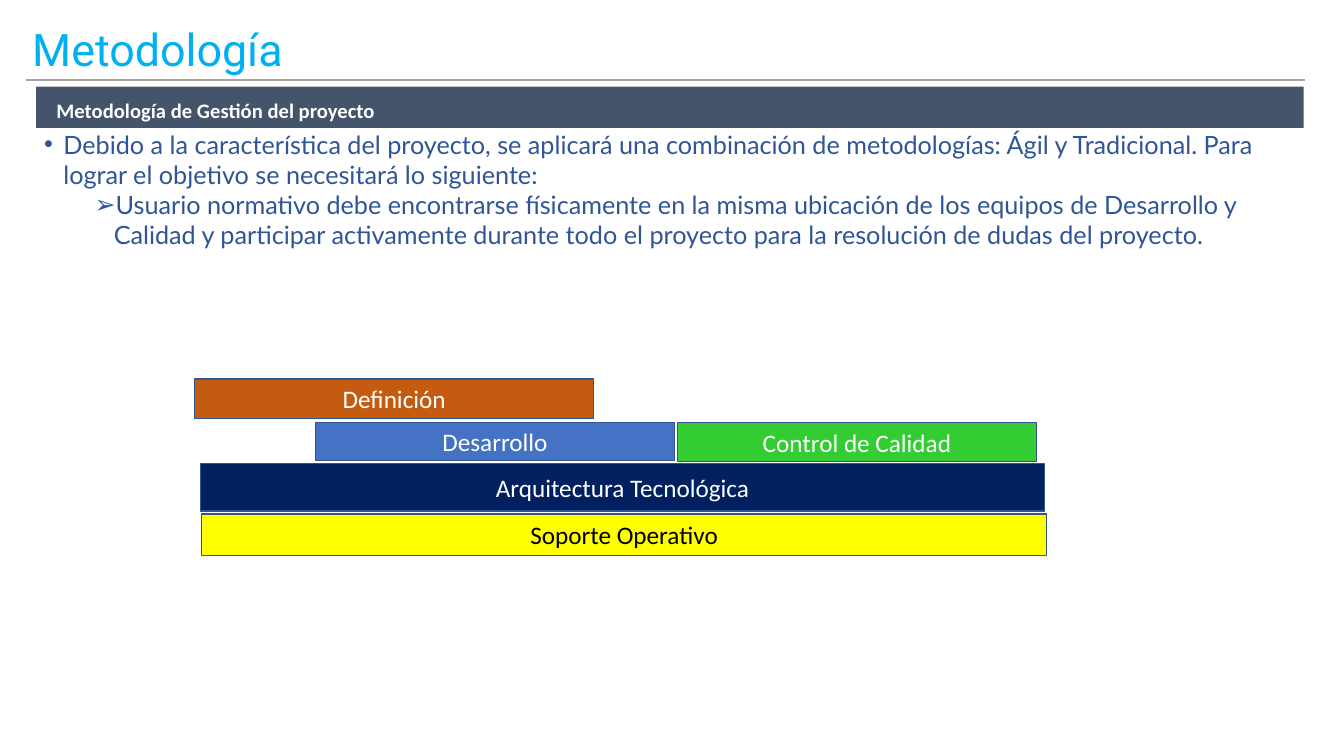
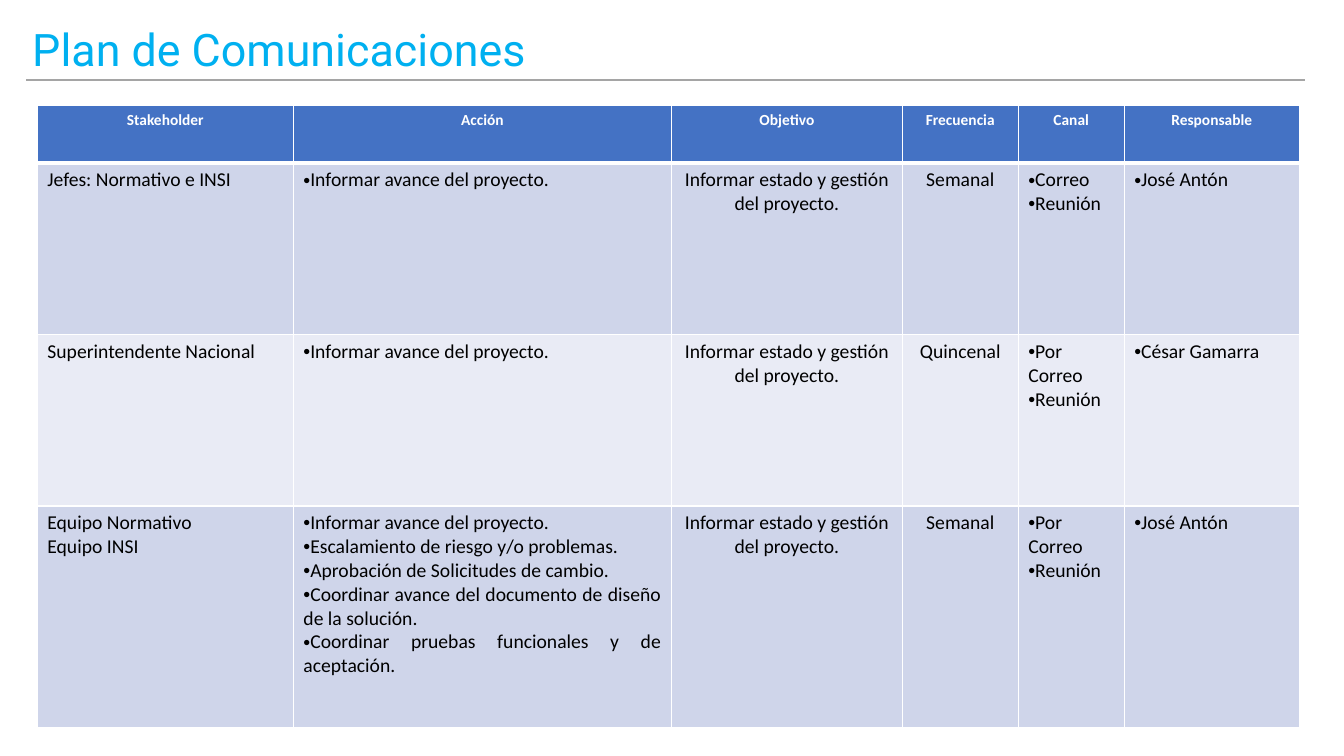
from collections import namedtuple

from lxml import etree
from pptx import Presentation
from pptx.dml.color import RGBColor
from pptx.enum.shapes import MSO_CONNECTOR, MSO_SHAPE
from pptx.enum.text import MSO_ANCHOR, MSO_AUTO_SIZE, PP_ALIGN
from pptx.oxml.ns import qn
from pptx.util import Inches, Pt

RECTANGLE = MSO_SHAPE.RECTANGLE
ROUNDED = MSO_SHAPE.ROUNDED_RECTANGLE
STRAIGHT = MSO_CONNECTOR.STRAIGHT
LEFT, CENTER, JUSTIFY = PP_ALIGN.LEFT, PP_ALIGN.CENTER, PP_ALIGN.JUSTIFY
MIDDLE, BOTTOM = MSO_ANCHOR.MIDDLE, MSO_ANCHOR.BOTTOM
TITLE_ONLY = 5

COLORS = {
    "title": "00B0F0",
    "rule": "A5A5A5",
    "band": "44546A",
    "body": "2F5597",
    "outline": "325491",
    "blue": "4472C4",
    "green": "33CC33",
    "orange": "C55A11",
    "yellow": "FFFF00",
    "navy": "002060",
    "odd_row": "CFD5EA",
    "even_row": "E9EBF5",
    "white": "FFFFFF",
    "black": "000000",
}
TITLE_FONT, BODY_FONT, SHAPE_FONT = "Roboto", "Lato", "Calibri"

Box = namedtuple("Box", "left top width height")
TITLE_BOX = Box(0.26, 0.08, 13, 0.7)
RULE_BOX = Box(0.26, 0.79, 12.68, 0)
BAND_BOX = Box(0.36, 0.86, 12.57, 0.41)
BODY_BOX = Box(0.34, 1.23, 12.54, 1.31)
TEAMS_BOX = Box(1.93, 3.76, 8.45, 1.75)
PLAN_BOX = Box(0.37, 1.05, 12.52, 6.17)

METHOD_POINTS = [
    ("Debido a la característica del proyecto, se aplicará una combinación de "
     "metodologías: Ágil y Tradicional. Para lograr el objetivo se necesitará "
     "lo siguiente:", 0, "•", 0.19),
    ("Usuario normativo debe encontrarse físicamente en la misma ubicación de "
     "los equipos de Desarrollo y Calidad y participar activamente durante todo "
     "el proyecto para la resolución de dudas del proyecto.", 1, "➢", 0.69),
]
TEAMS = [
    ("Desarrollo", Box(1.2, 0.43, 3.56, 0.38), "blue", "white"),
    ("Control de Calidad", Box(4.79, 0.43, 3.56, 0.39), "green", "white"),
    ("Definición", Box(0, 0, 3.96, 0.39), "orange", "white"),
    ("Soporte Operativo", Box(0.07, 1.34, 8.38, 0.41), "yellow", "black"),
    ("Arquitectura Tecnológica", Box(0.06, 0.84, 8.37, 0.47), "navy", "white"),
]

PLAN_COLUMNS = [
    ("Stakeholder", 2.54, LEFT, None),
    ("Acción", 3.75, JUSTIFY, "•"),
    ("Objetivo", 2.29, CENTER, None),
    ("Frecuencia", 1.15, CENTER, None),
    ("Canal", 1.05, LEFT, "•"),
    ("Responsable", 1.74, LEFT, "•"),
]
PLAN_HEIGHTS = [0.57, 1.7, 1.7, 2.2]
PROGRESS = "Informar avance del proyecto."
GOAL = ["Informar estado y gestión del proyecto."]
PLAN_ROWS = [
    [["Jefes: Normativo e INSI"], [PROGRESS], GOAL, ["Semanal"],
     ["Correo", "Reunión"], ["José Antón"]],
    [["Superintendente Nacional"], [PROGRESS], GOAL, ["Quincenal"],
     ["Por Correo", "Reunión"], ["César Gamarra"]],
    [["Equipo Normativo", "Equipo INSI"],
     [PROGRESS,
      "Escalamiento de riesgo y/o problemas.",
      "Aprobación de Solicitudes de cambio.",
      "Coordinar avance del documento de diseño de la solución.",
      "Coordinar pruebas funcionales y de aceptación."],
     GOAL, ["Semanal"], ["Por Correo", "Reunión"], ["José Antón"]],
]


def color(name):
    return RGBColor.from_string(COLORS[name])


def place(box):
    return [Inches(length) for length in box]


def set_margins(frame, left, top, right, bottom):
    frame.margin_left, frame.margin_top = Inches(left), Inches(top)
    frame.margin_right, frame.margin_bottom = Inches(right), Inches(bottom)


def add_run(paragraph, text, size, font, color_name, bold=False):
    run = paragraph.add_run()
    run.text = text
    run.font.size = Pt(size)
    run.font.name = font
    run.font.bold = bold
    run.font.color.rgb = color(color_name)


def next_paragraph(frame, index):
    return frame.add_paragraph() if index else frame.paragraphs[0]


def set_bullet(paragraph, character, margin=0, indent=0):
    properties = paragraph._p.get_or_add_pPr()
    properties.set("marL", str(Inches(margin)))
    properties.set("indent", str(Inches(indent)))
    etree.SubElement(properties, qn("a:buFont")).set("typeface", "Arial")
    etree.SubElement(properties, qn("a:buChar")).set("char", character)


def set_borders(cell, widths):
    properties = cell._tc.get_or_add_tcPr()
    for position, (side, width) in enumerate(widths.items()):
        line = etree.Element(qn("a:" + side), w=str(Pt(width)))
        fill = etree.SubElement(line, qn("a:solidFill"))
        etree.SubElement(fill, qn("a:srgbClr")).set("val", COLORS["white"])
        properties.insert(position, line)


def add_block(slide, kind, box, fill, outline=None):
    shape = slide.shapes.add_shape(kind, *place(box))
    shape.shadow.inherit = False
    shape.fill.solid()
    shape.fill.fore_color.rgb = color(fill)
    if outline:
        shape.line.color.rgb = color(outline)
        shape.line.width = Pt(1)
    else:
        shape.line.fill.background()
    shape.text_frame.word_wrap = True
    return shape


def add_title(slide, box, text):
    title = slide.shapes.title
    title.left, title.top, title.width, title.height = place(box)
    frame = title.text_frame
    frame.auto_size = MSO_AUTO_SIZE.NONE
    frame.word_wrap = True
    frame.vertical_anchor = MIDDLE
    set_margins(frame, 0.06, 0.06, 0.06, 0.06)
    paragraph = frame.paragraphs[0]
    paragraph.alignment = LEFT
    paragraph.line_spacing = 1.2
    paragraph.space_before = Pt(6)
    add_run(paragraph, text, 32, TITLE_FONT, "title")


def add_rule(slide, box):
    left, top, width, height = place(box)
    rule = slide.shapes.add_connector(STRAIGHT, left, top, left + width, top + height)
    rule.line.color.rgb = color("rule")
    rule.line.width = Pt(1.5)
    etree.SubElement(rule._element.spPr, qn("a:effectLst"))


def start_slide(presentation, title):
    slide = presentation.slides.add_slide(presentation.slide_layouts[TITLE_ONLY])
    add_title(slide, TITLE_BOX, title)
    add_rule(slide, RULE_BOX)
    return slide


def add_band(slide, box, text):
    band = add_block(slide, ROUNDED, box, "band")
    band.adjustments[0] = 0
    frame = band.text_frame
    frame.vertical_anchor = BOTTOM
    set_margins(frame, 0.2, 0.16, 0.2, 0.05)
    paragraph = frame.paragraphs[0]
    paragraph.alignment = LEFT
    paragraph.line_spacing = 0.9
    add_run(paragraph, text, 14.7, SHAPE_FONT, "white", True)


def add_points(slide, box, points):
    frame = slide.shapes.add_textbox(*place(box)).text_frame
    frame.word_wrap = True
    for index, (text, level, character, margin) in enumerate(points):
        paragraph = next_paragraph(frame, index)
        paragraph.level = level
        set_bullet(paragraph, character, margin, -0.19)
        add_run(paragraph, text, 18, BODY_FONT, "body")


def add_teams(slide, box, teams):
    for text, offset, fill, text_color in teams:
        bar_box = Box(box.left + offset.left, box.top + offset.top,
                      offset.width, offset.height)
        frame = add_block(slide, RECTANGLE, bar_box, fill, "outline").text_frame
        frame.vertical_anchor = MIDDLE
        paragraph = frame.paragraphs[0]
        paragraph.alignment = CENTER
        add_run(paragraph, text, 18, SHAPE_FONT, text_color)


def fill_cell(cell, lines, fill, alignment, bullet, size, text_color, bold):
    cell.fill.solid()
    cell.fill.fore_color.rgb = color(fill)
    for index, text in enumerate(lines):
        paragraph = next_paragraph(cell.text_frame, index)
        paragraph.alignment = alignment
        if bullet:
            set_bullet(paragraph, bullet)
        add_run(paragraph, text, size, SHAPE_FONT, text_color, bold)


def add_plan(slide, box, columns, heights, rows):
    table = slide.shapes.add_table(len(heights), len(columns), *place(box)).table
    table.horz_banding = False
    for row, height in zip(table.rows, heights):
        row.height = Inches(height)
    for column_index, (heading, width, alignment, bullet) in enumerate(columns):
        table.columns[column_index].width = Inches(width)
        header = table.cell(0, column_index)
        fill_cell(header, [heading], "blue", CENTER, None, 11, "white", True)
        set_borders(header, {"lnL": 1, "lnR": 1, "lnT": 1, "lnB": 3})
        for row_index, row in enumerate(rows, 1):
            cell = table.cell(row_index, column_index)
            fill = "odd_row" if row_index % 2 else "even_row"
            fill_cell(cell, row[column_index], fill, alignment, bullet,
                      14, "black", False)
            top = 3 if row_index == 1 else 1
            set_borders(cell, {"lnL": 1, "lnR": 1, "lnT": top, "lnB": 1})


def build_method_slide(presentation):
    slide = start_slide(presentation, "Metodología")
    add_band(slide, BAND_BOX, "Metodología de Gestión del proyecto")
    add_points(slide, BODY_BOX, METHOD_POINTS)
    add_teams(slide, TEAMS_BOX, TEAMS)


def build_plan_slide(presentation):
    slide = start_slide(presentation, "Plan de Comunicaciones")
    add_plan(slide, PLAN_BOX, PLAN_COLUMNS, PLAN_HEIGHTS, PLAN_ROWS)


def main():
    presentation = Presentation()
    presentation.slide_width = Inches(13.33)
    presentation.slide_height = Inches(7.5)
    build_method_slide(presentation)
    build_plan_slide(presentation)
    presentation.save("out.pptx")


if __name__ == "__main__":
    main()
